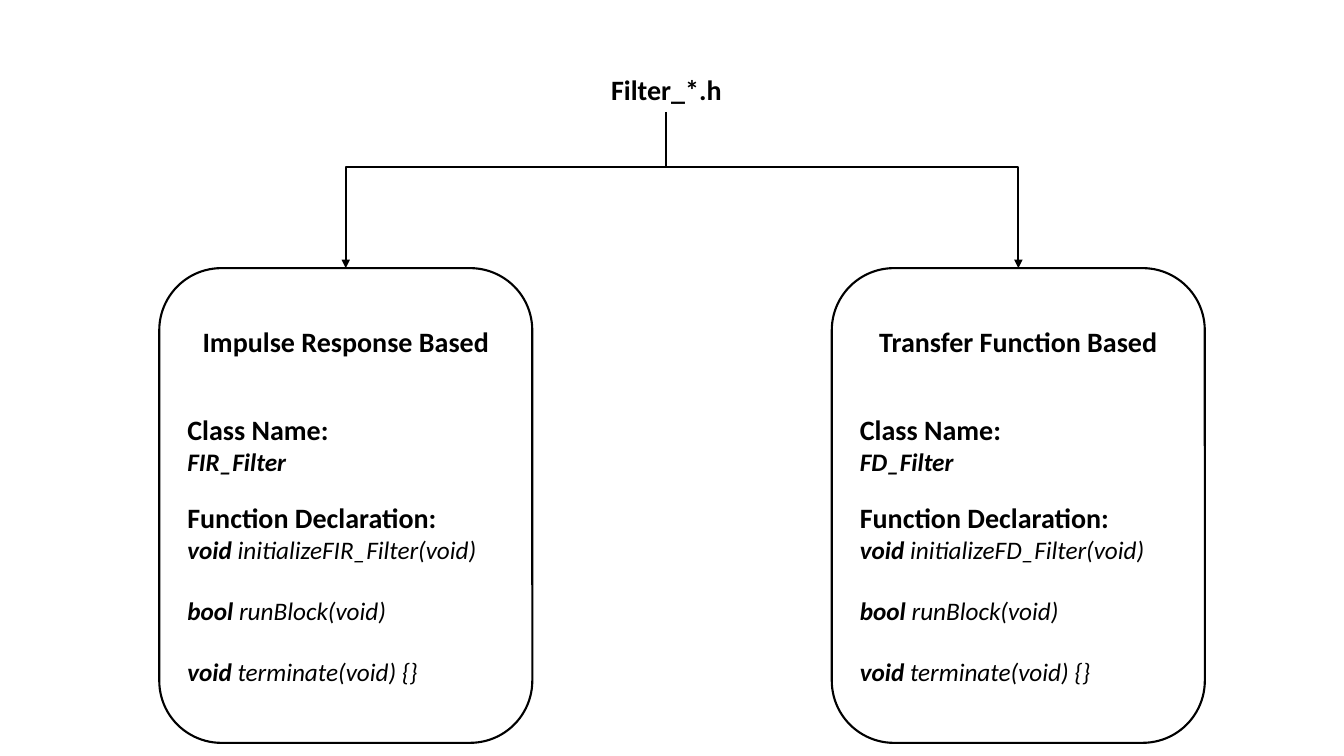
from dataclasses import dataclass

from lxml import etree
from pptx import Presentation
from pptx.dml.color import RGBColor
from pptx.enum.shapes import MSO_CONNECTOR, MSO_SHAPE
from pptx.enum.text import MSO_ANCHOR, MSO_AUTO_SIZE, PP_ALIGN
from pptx.oxml.ns import qn
from pptx.shapes.autoshape import Shape
from pptx.shapes.connector import Connector
from pptx.slide import Slide
from pptx.text.text import TextFrame
from pptx.util import Inches, Pt

ELBOW, STRAIGHT = MSO_CONNECTOR.ELBOW, MSO_CONNECTOR.STRAIGHT
ROUNDED = MSO_SHAPE.ROUNDED_RECTANGLE
TOP, MIDDLE = MSO_ANCHOR.TOP, MSO_ANCHOR.MIDDLE
CENTER, LEFT = PP_ALIGN.CENTER, PP_ALIGN.LEFT
NO_AUTOFIT = MSO_AUTO_SIZE.NONE

BLACK, WHITE = "000000", "FFFFFF"
CARD_TOP, CARD_WIDTH, CARD_HEIGHT = 2.66, 3.7, 4.71
STEM_X, STEM_TOP, BRANCH_Y = 6.61, 1.11, 1.66
TOP_SITE = 0

HEADING = {"size": Pt(20), "bold": True, "italic": False}
KEYWORD = {"size": Pt(18), "bold": True, "italic": True}
SIGNATURE = {"size": Pt(18), "bold": False, "italic": True}


@dataclass(frozen=True)
class Line:
    runs: list[tuple[str, dict]]
    gap: float = 0
    align: PP_ALIGN = LEFT


@dataclass(frozen=True)
class FilterCard:
    left: float
    heading: str
    class_name: str

    def lines(self) -> list[Line]:
        return [
            Line([(self.heading, HEADING)], align=CENTER),
            Line([("Class Name:", HEADING)], gap=39),
            Line([(self.class_name, KEYWORD)]),
            Line([("Function Declaration:", HEADING)], gap=17),
            Line([("void ", KEYWORD), (f"initialize{self.class_name}(void)", SIGNATURE)]),
            Line([("bool ", KEYWORD), ("runBlock(void)", SIGNATURE)], gap=22),
            Line([("void", KEYWORD), (" terminate(void) {}", SIGNATURE)], gap=22),
        ]


CARDS = [
    FilterCard(1.58, "Impulse Response Based", "FIR_Filter"),
    FilterCard(8.25, "Transfer Function Based", "FD_Filter"),
]


def color(value: str) -> RGBColor:
    return RGBColor.from_string(value)


def write_lines(frame: TextFrame, lines: list[Line], anchor: MSO_ANCHOR) -> None:
    frame.word_wrap = True
    frame.auto_size = NO_AUTOFIT
    frame.vertical_anchor = anchor
    for index, line in enumerate(lines):
        paragraph = frame.paragraphs[0] if index == 0 else frame.add_paragraph()
        paragraph.alignment = line.align
        paragraph.space_before = Pt(line.gap)
        for words, style in line.runs:
            run = paragraph.add_run()
            run.text = words
            for attribute, value in {"name": "Calibri", **style}.items():
                setattr(run.font, attribute, value)
            run.font.color.rgb = color(BLACK)


def draw_header(slide: Slide) -> None:
    header = slide.shapes.title
    place = {"left": 5.81, "top": 0.67, "width": 1.6, "height": 0.44}
    for attribute, value in place.items():
        setattr(header, attribute, Inches(value))
    write_lines(header.text_frame, [Line([("Filter_*.h", HEADING)], align=CENTER)], TOP)


def draw_card(slide: Slide, card: FilterCard) -> Shape:
    box = slide.shapes.add_shape(
        ROUNDED, Inches(card.left), Inches(CARD_TOP), Inches(CARD_WIDTH), Inches(CARD_HEIGHT)
    )
    box.shadow.inherit = False
    box.fill.solid()
    box.fill.fore_color.rgb = color(WHITE)
    box.line.color.rgb = color(BLACK)
    box.line.width = Pt(1.5)
    write_lines(box.text_frame, card.lines(), MIDDLE)
    return box


def draw_link(
    slide: Slide, kind: MSO_CONNECTOR, start: tuple[float, float], end: tuple[float, float]
) -> Connector:
    link = slide.shapes.add_connector(kind, *(Inches(value) for value in (*start, *end)))
    link.line.color.rgb = color(BLACK)
    link.line.width = Pt(1.5)
    etree.SubElement(link._element.spPr, qn("a:effectLst"))
    return link


def draw_branch(slide: Slide, card: FilterCard, box: Shape) -> None:
    end = (card.left + CARD_WIDTH / 2, CARD_TOP)
    branch = draw_link(slide, ELBOW, (STEM_X, BRANCH_Y), end)
    branch._element.spPr.find(qn("a:prstGeom")).set("prst", "bentConnector2")
    etree.SubElement(branch.line._get_or_add_ln(), qn("a:tailEnd"), type="triangle")
    branch.end_connect(box, TOP_SITE)


def main() -> None:
    presentation = Presentation()
    presentation.slide_width = Inches(13.33)
    presentation.slide_height = Inches(7.5)
    slide = presentation.slides.add_slide(presentation.slide_layouts.get_by_name("Title Only"))
    draw_header(slide)
    draw_link(slide, STRAIGHT, (STEM_X, STEM_TOP), (STEM_X, BRANCH_Y))
    for card in CARDS:
        draw_branch(slide, card, draw_card(slide, card))
    presentation.save("out.pptx")


main()
